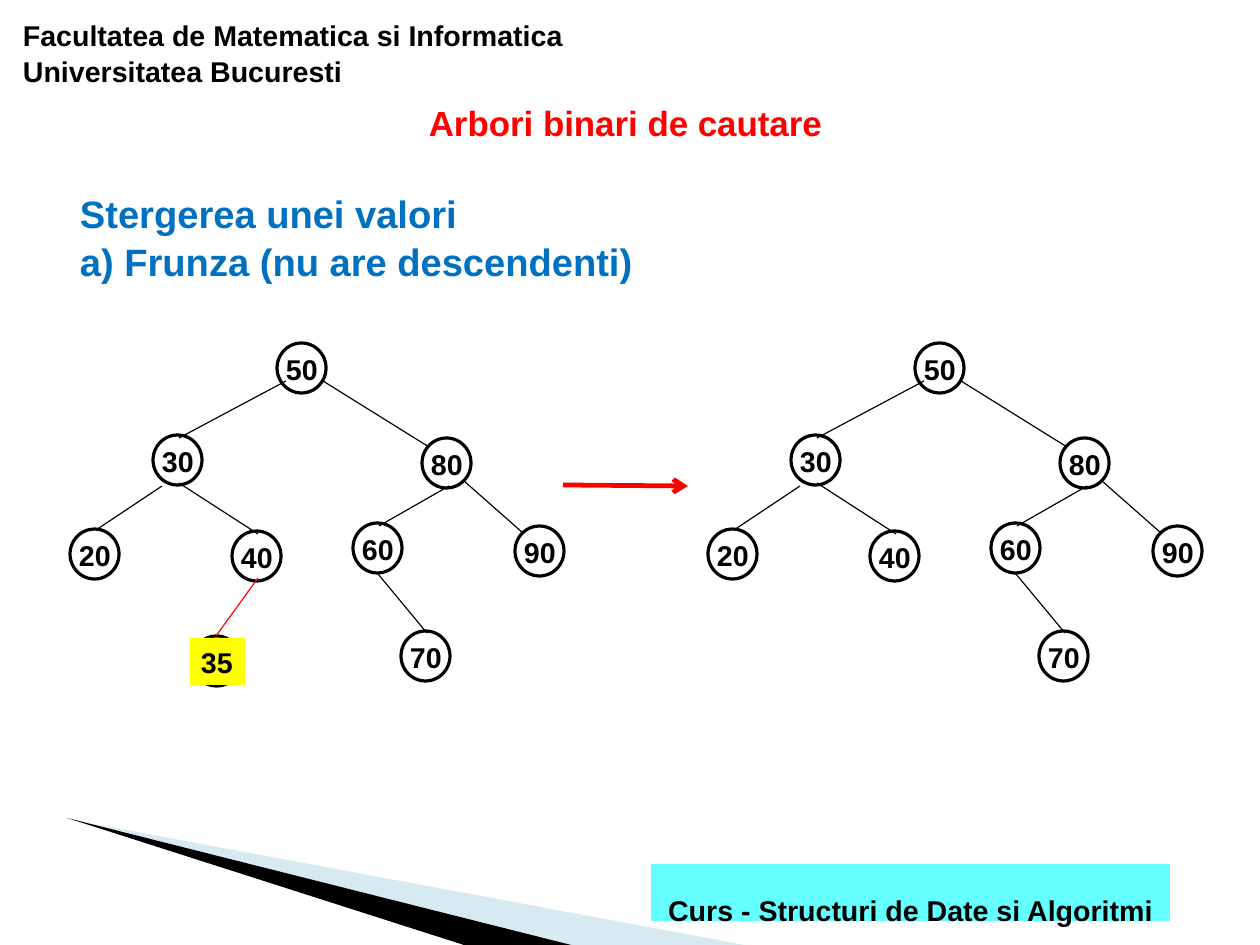
from lxml import etree
from pptx import Presentation
from pptx import util as u
from pptx.dml.color import RGBColor
from pptx.enum import shapes, text
from pptx.oxml.ns import qn

PX = 8000
BLACK = RGBColor(0x00, 0x00, 0x00)
RED = RGBColor(0xFF, 0x00, 0x00)
BLUE = RGBColor(0x00, 0x70, 0xC0)
YELLOW = RGBColor(0xFF, 0xFF, 0x00)
CYAN = RGBColor(0x66, 0xFF, 0xFF)
PALE_BLUE = RGBColor(0x9F, 0xCB, 0xDC)


def write(box, lines, size, color, margins=(11, 6), spacing=1.04, align=text.PP_ALIGN.LEFT,
          anchor=text.MSO_ANCHOR.TOP, wrap=True):
    frame = box.text_frame
    frame.word_wrap = wrap
    frame.auto_size = text.MSO_AUTO_SIZE.NONE
    frame.vertical_anchor = anchor
    frame.margin_left = frame.margin_right = margins[0] * PX
    frame.margin_top = frame.margin_bottom = margins[1] * PX
    for index, line in enumerate(lines):
        para = frame.add_paragraph() if index else frame.paragraphs[0]
        para.alignment = align
        para.line_spacing = spacing
        para.space_before = u.Pt(0)
        span = para.add_run()
        span.text = line
        span.font.name = "Arial"
        span.font.size = u.Pt(size)
        span.font.bold = True
        span.font.color.rgb = color


def connect(parent, start, end, color, width):
    line = parent.shapes.add_connector(shapes.MSO_CONNECTOR.STRAIGHT,
                                       *[value * PX for value in start + end])
    line.line.color.rgb = color
    line.line.width = u.Pt(width)
    etree.SubElement(line._element.spPr, qn("a:effectLst"))
    return line


deck = Presentation()
deck.slide_width = 1260 * PX
deck.slide_height = 945 * PX
page = deck.slides.add_slide(deck.slide_layouts[1])

wedges = [
    ([(67, 819), (750, 946), (575, 946)], PALE_BLUE, 40),
    ([(67, 818), (575, 946), (467, 946)], BLACK, 100),
]
for points, color, opacity in wedges:
    builder = page.shapes.build_freeform(*points[0], scale=PX)
    builder.add_line_segments(points[1:], close=True)
    wedge = builder.convert_to_shape()
    wedge.shadow.inherit = False
    wedge.line.fill.background()
    wedge.fill.solid()
    wedge.fill.fore_color.rgb = color
    if opacity < 100:
        solid = wedge._element.spPr.find(qn("a:solidFill"))
        etree.SubElement(solid[0], qn("a:alpha"), val=str(opacity * 1000))

header = page.shapes.add_textbox(10 * PX, 10 * PX, 630 * PX, 83 * PX)
write(header, ["Facultatea de Matematica si Informatica Universitatea Bucuresti"],
      18, BLACK, margins=(13, 7))

footer = page.shapes.add_shape(shapes.MSO_SHAPE.RECTANGLE, 651 * PX, 864 * PX, 519 * PX, 57 * PX)
footer.shadow.inherit = False
footer.fill.solid()
footer.fill.fore_color.rgb = CYAN
footer.line.fill.background()
write(footer, ["Curs - Structuri de Date si Algoritmi"], 18, BLACK, spacing=2.0,
      align=text.PP_ALIGN.CENTER, anchor=text.MSO_ANCHOR.MIDDLE)

title = page.shapes.title
title.left, title.top, title.width, title.height = 413 * PX, 101 * PX, 425 * PX, 45 * PX
write(title, ["Arbori binari de cautare"], 22, RED, margins=(0, 1), spacing=1.0,
      align=text.PP_ALIGN.CENTER)

body = page.placeholders[1]
body.left, body.top, body.width, body.height = 69 * PX, 183 * PX, 752 * PX, 106 * PX
write(body, ["Stergerea unei valori", "a) Frunza (nu are descendenti)"], 24, BLUE)
for para in body.text_frame.paragraphs:
    props = para._p.get_or_add_pPr()
    props.set("marL", "0")
    props.set("indent", "0")
    etree.SubElement(props, qn("a:buNone"))

nodes = {50: (277, 343), 30: (153, 435), 80: (422, 438), 20: (70, 529), 40: (232, 531),
         35: (192, 636), 60: (353, 523), 90: (515, 526), 70: (401, 631)}
edges = [
    (30, (179, 438), (286, 381)),
    (80, (323, 381), (429, 447)),
    (20, (162, 486), (96, 530)),
    (40, (179, 483), (258, 534)),
    (60, (449, 486), (379, 526)),
    (90, (464, 481), (523, 533)),
    (35, (258, 578), (216, 636)),
    (70, (378, 574), (427, 633)),
]
deleted = 35

for shift, has_deleted in [(0, True), (638, False)]:
    tree = page.shapes.add_group_shape()
    for value, (left, top) in nodes.items():
        if value == deleted and not has_deleted:
            continue
        circle = tree.shapes.add_shape(shapes.MSO_SHAPE.OVAL, (left + shift) * PX, top * PX,
                                       49 * PX, 50 * PX)
        circle.shadow.inherit = False
        circle.fill.background()
        circle.line.color.rgb = BLACK
        circle.line.width = u.Pt(2)
        label = tree.shapes.add_textbox((left + shift - 2) * PX, (top + 2) * PX, 55 * PX, 47 * PX)
        if value == deleted:
            label.fill.solid()
            label.fill.fore_color.rgb = YELLOW
        write(label, [str(value)], 18, BLACK, wrap=False)
    for child, start, end in edges:
        if child == deleted and not has_deleted:
            continue
        connect(tree, (start[0] + shift, start[1]), (end[0] + shift, end[1]),
                RED if child == deleted else BLACK, 0.75)

arrow = connect(page, (563, 485), (688, 486), RED, 3)
etree.SubElement(arrow.line._get_or_add_ln(), qn("a:tailEnd"), type="arrow")

deck.save("out.pptx")
